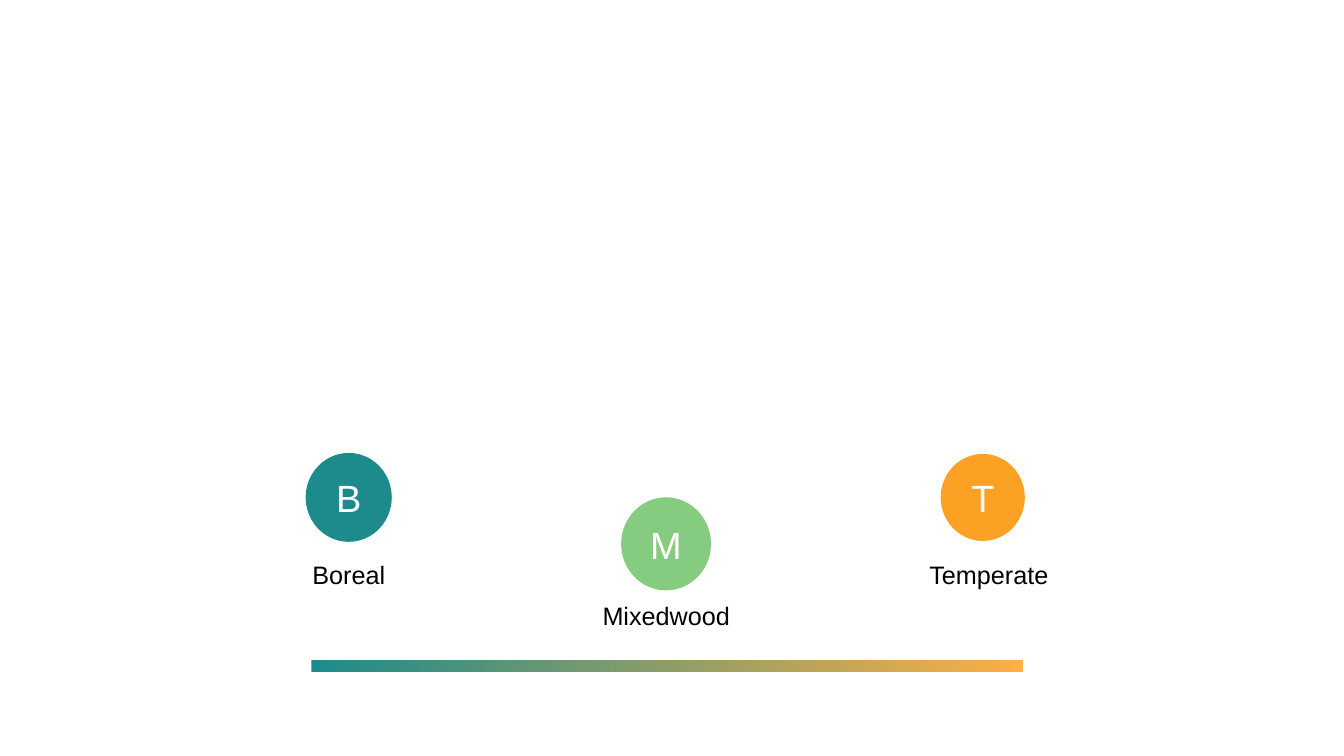
import dataclasses

import pptx
import pptx.dml.color
import pptx.enum.shapes
import pptx.enum.text
import pptx.util

Pt = pptx.util.Pt
Kind = pptx.enum.shapes.MSO_SHAPE
FRAME = {
    "word_wrap": True,
    "vertical_anchor": pptx.enum.text.MSO_ANCHOR.MIDDLE,
    "margin_left": 0, "margin_right": 0, "margin_top": 0, "margin_bottom": 0,
}


@dataclasses.dataclass
class Zone:
    """A forest zone: disc centre (x, y) and size, label centre and top."""
    name: str
    hue: str
    x: float
    y: float
    wide: float
    high: float
    mid: float
    top: float


ZONES = [
    Zone("Temperate", "FDA125", 702, 355.3, 59.2, 61.2, 706.3, 396),
    Zone("Mixedwood", "85CB80", 475.8, 388.5, 63.2, 65.6, 475.9, 424.8),
    Zone("Boreal", "1D8B8B", 249.1, 355.3, 60.6, 62.6, 249.1, 396),
]


def rgb(code: str) -> pptx.dml.color.RGBColor:
    return pptx.dml.color.RGBColor.from_string(code)


def write(frame, text: str, size: float, hue: str) -> None:
    for key, value in FRAME.items():
        setattr(frame, key, value)
    para = frame.paragraphs[0]
    para.alignment = pptx.enum.text.PP_ALIGN.CENTER
    run = para.add_run()
    run.text = text
    for key, value in {"name": "Arial", "size": Pt(size)}.items():
        setattr(run.font, key, value)
    run.font.color.rgb = rgb(hue)


def draw(slide, zone: Zone) -> None:
    disc = slide.shapes.add_shape(
        Kind.OVAL, Pt(zone.x - zone.wide / 2), Pt(zone.y - zone.high / 2),
        Pt(zone.wide), Pt(zone.high))
    disc.shadow.inherit = False
    disc.fill.solid()
    disc.fill.fore_color.rgb = rgb(zone.hue)
    disc.line.color.rgb = rgb(zone.hue)
    disc.line.width = Pt(0.94)
    write(disc.text_frame, zone.name[0], 27.1, "FFFFFF")

    wide = 142.6
    label = slide.shapes.add_textbox(
        Pt(zone.mid - wide / 2), Pt(zone.top), Pt(wide), Pt(29))
    write(label.text_frame, zone.name, 18, "000000")


def scale(slide) -> None:
    """Draw the colour bar that runs from boreal to temperate."""
    bar = slide.shapes.add_shape(
        Kind.RECTANGLE, Pt(222.4), Pt(471.5), Pt(508.6), Pt(8.9))
    bar.shadow.inherit = False
    bar.line.fill.background()
    bar.fill.gradient()
    bar.fill.gradient_angle = 0
    for stop, hue in zip(bar.fill.gradient_stops, ("1D8B8B", "FDAF44")):
        stop.color.rgb = rgb(hue)


def main() -> None:
    deck = pptx.Presentation()
    deck.slide_width, deck.slide_height = Pt(960), Pt(540)
    slide = deck.slides.add_slide(deck.slide_layouts[6])
    for zone in ZONES:
        draw(slide, zone)
    scale(slide)
    deck.save("out.pptx")


if __name__ == "__main__":
    main()
